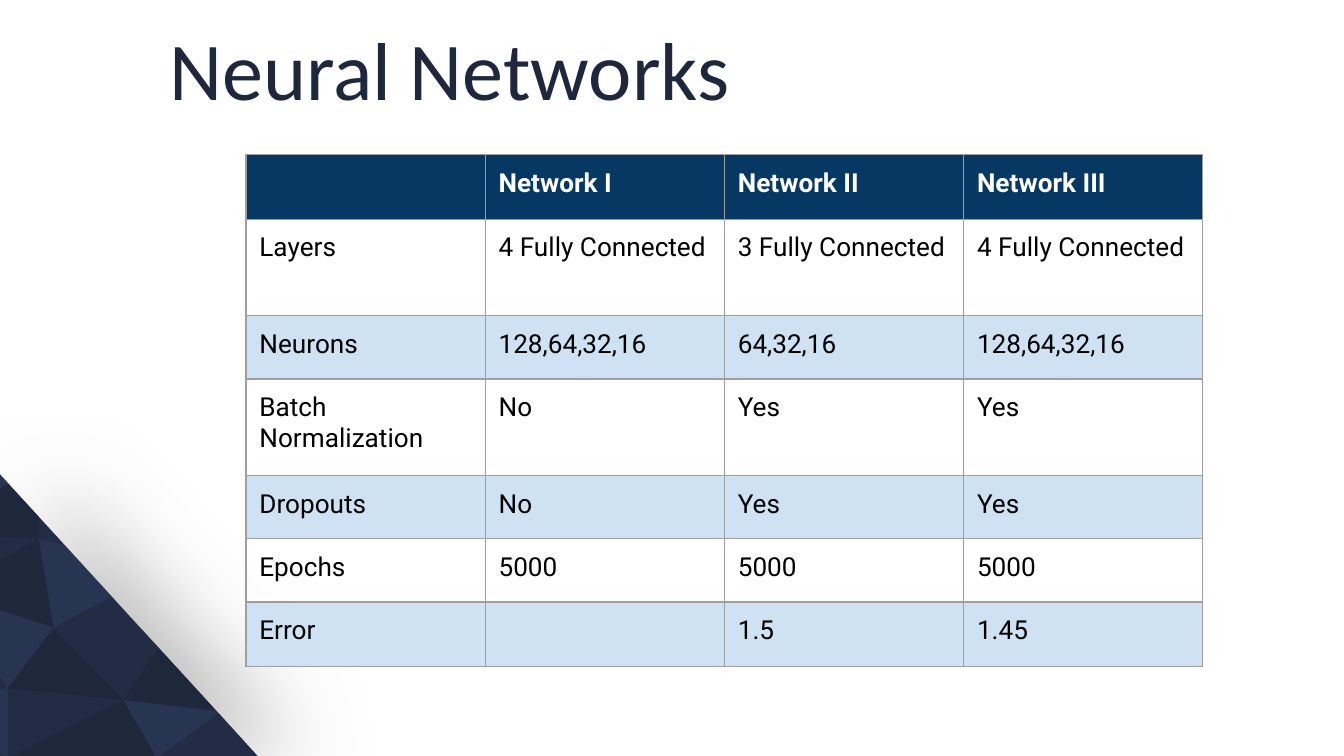
from dataclasses import dataclass

from lxml import etree
from pptx import Presentation
from pptx.dml.color import RGBColor
from pptx.enum.text import MSO_ANCHOR, MSO_AUTO_SIZE, PP_ALIGN
from pptx.oxml import parse_xml
from pptx.oxml.ns import nsdecls, qn
from pptx.util import Inches, Pt

LEFT = PP_ALIGN.LEFT
MIDDLE, TOP = MSO_ANCHOR.MIDDLE, MSO_ANCHOR.TOP
NO_AUTOFIT = MSO_AUTO_SIZE.NONE


@dataclass(frozen=True)
class Theme:
    dark: str = "1E273B"
    mid: str = "222D45"
    light: str = "283552"
    shadow: str = "7F7F7F"
    header: str = "073763"
    band: str = "CFE2F3"
    border: str = "9E9E9E"
    white: str = "FFFFFF"
    black: str = "000000"
    title_font: str = "Calibri"
    body_font: str = "Roboto"
    title_size: int = 44
    body_size: int = 14
    border_width: float = 0.75


theme = Theme()


def write_text(frame, text, font, size, color, bold=False, spacing=1.0):
    paragraph = frame.paragraphs[0]
    paragraph.alignment = LEFT
    paragraph.line_spacing = spacing
    run = paragraph.add_run()
    run.text = text
    run.font.name = font
    run.font.size = Pt(size)
    run.font.bold = bold
    run.font.color.rgb = RGBColor.from_string(color)


def add_facet(group, color, points):
    corners = [(Inches(x), Inches(y)) for x, y in points]
    builder = group.shapes.build_freeform(*corners[0], scale=1.0)
    builder.add_line_segments(corners[1:], close=True)
    shape = builder.convert_to_shape()
    shape.fill.solid()
    shape.fill.fore_color.rgb = RGBColor.from_string(color)
    shape.line.fill.background()
    shape.shadow.inherit = False
    return shape


presentation = Presentation()
presentation.slide_width = Inches(10)
presentation.slide_height = Inches(10) * 9 // 16
slide = presentation.slides.add_slide(presentation.slide_layouts[5])
slide.background.fill.solid()
slide.background.fill.fore_color.rgb = RGBColor.from_string(theme.white)

# Faceted corner, with a soft shadow behind it
corner = slide.shapes.add_group_shape()
shadow_base = add_facet(corner, theme.mid, [(0, 3.6), (1.84, 5.6), (0, 5.6)])
effects = shadow_base._element.spPr.find(qn("a:effectLst"))
effects.append(parse_xml(
    f'<a:outerShdw {nsdecls("a")} blurRad="{Pt(48)}" dist="{Pt(28)}" dir="0" '
    f'algn="ctr" rotWithShape="0"><a:srgbClr val="{theme.shadow}">'
    '<a:alpha val="50000"/></a:srgbClr></a:outerShdw>'))

facets = [
    (theme.mid, [(0, 3.53), (1.92, 5.63), (0, 5.63)]),
    (theme.light, [(0.06, 5.12), (0.06, 5.63), (0.04, 5.63), (0, 5.6), (0, 5.13)]),
    (theme.mid, [(0, 5.03), (0.06, 5.12), (0, 5.13)]),
    (theme.mid, [(0.08, 5.63), (0.06, 5.63), (0.06, 5.12), (0.92, 5.21)]),
    (theme.light, [(0, 3.53), (0.06, 3.6), (0, 3.64)]),
    (theme.mid, [(0, 3.99), (0.29, 4.01), (0, 4.17)]),
    (theme.dark, [(0.06, 3.6), (0.29, 3.85), (0.29, 4.01), (0, 3.99), (0, 3.64)]),
    (theme.dark, [(0.29, 4.01), (0.4, 4.67), (0, 4.54), (0, 4.17)]),
    (theme.light, [(0, 4.54), (0.4, 4.67), (0.06, 5.12), (0, 5.03)]),
    (theme.dark, [(0.92, 5.21), (0.06, 5.12), (0.4, 4.67)]),
    (theme.dark, [(1.16, 5.63), (0.08, 5.63), (0.92, 5.21)]),
    (theme.mid, [(0.92, 5.21), (0.4, 4.67), (1.05, 4.68), (1.18, 4.82)]),
    (theme.light, [(0.4, 4.67), (0.29, 4.01), (0.47, 4.05), (0.83, 4.44)]),
    (theme.mid, [(0.47, 4.05), (0.29, 4.01), (0.38, 3.95)]),
    (theme.dark, [(1.61, 5.29), (0.92, 5.21), (1.18, 4.82)]),
    (theme.light, [(1.18, 5.63), (1.16, 5.63), (0.92, 5.21), (1.61, 5.29), (1.63, 5.31)]),
    (theme.mid, [(1.92, 5.63), (1.18, 5.63), (1.63, 5.31)]),
]
for color, points in facets:
    add_facet(corner, color, points)

# Title
title = slide.shapes.title
title.left, title.top = Inches(1.16), Inches(0.1)
title.width, title.height = Inches(8.41), Inches(0.9)
title.text_frame.auto_size = NO_AUTOFIT
title.text_frame.vertical_anchor = MIDDLE
write_text(title.text_frame, "Neural Networks", font=theme.title_font,
           size=theme.title_size, color=theme.dark, spacing=0.9)

# Comparison table
rows = [
    ("", "Network I", "Network II", "Network III"),
    ("Layers", "4 Fully Connected", "3 Fully Connected", "4 Fully Connected"),
    ("Neurons", "128,64,32,16", "64,32,16", "128,64,32,16"),
    ("Batch Normalization", "No", "Yes", "Yes"),
    ("Dropouts", "No", "Yes", "Yes"),
    ("Epochs", "5000", "5000", "5000"),
    ("Error", "", "1.5", "1.45"),
]
row_heights = [0.48, 0.72, 0.47, 0.72, 0.47, 0.47, 0.48]
column_width = 1.78
table = slide.shapes.add_table(
    len(rows), len(rows[0]), Inches(1.83), Inches(1.15),
    Inches(column_width * len(rows[0])), Inches(sum(row_heights))).table
table.first_row = table.horz_banding = False
for column in table.columns:
    column.width = Inches(column_width)

for row_index, values in enumerate(rows):
    table.rows[row_index].height = Inches(row_heights[row_index])
    is_header = row_index == 0
    for column_index, value in enumerate(values):
        cell = table.cell(row_index, column_index)
        cell.margin_left = cell.margin_right = Inches(0.1)
        cell.margin_top = cell.margin_bottom = Inches(0.1)
        cell.vertical_anchor = TOP
        write_text(cell.text_frame, value, font=theme.body_font, size=theme.body_size,
                   color=theme.white if is_header else theme.black, bold=is_header)

        # Borders come before the fill in the cell properties
        properties = cell._tc.get_or_add_tcPr()
        for side in ("a:lnL", "a:lnR", "a:lnT", "a:lnB"):
            line = etree.SubElement(properties, qn(side), w=str(Pt(theme.border_width)))
            line_fill = etree.SubElement(line, qn("a:solidFill"))
            etree.SubElement(line_fill, qn("a:srgbClr"), val=theme.border)

        if row_index % 2:
            cell.fill.background()
        else:
            cell.fill.solid()
            cell.fill.fore_color.rgb = RGBColor.from_string(
                theme.header if is_header else theme.band)

presentation.save("out.pptx")
